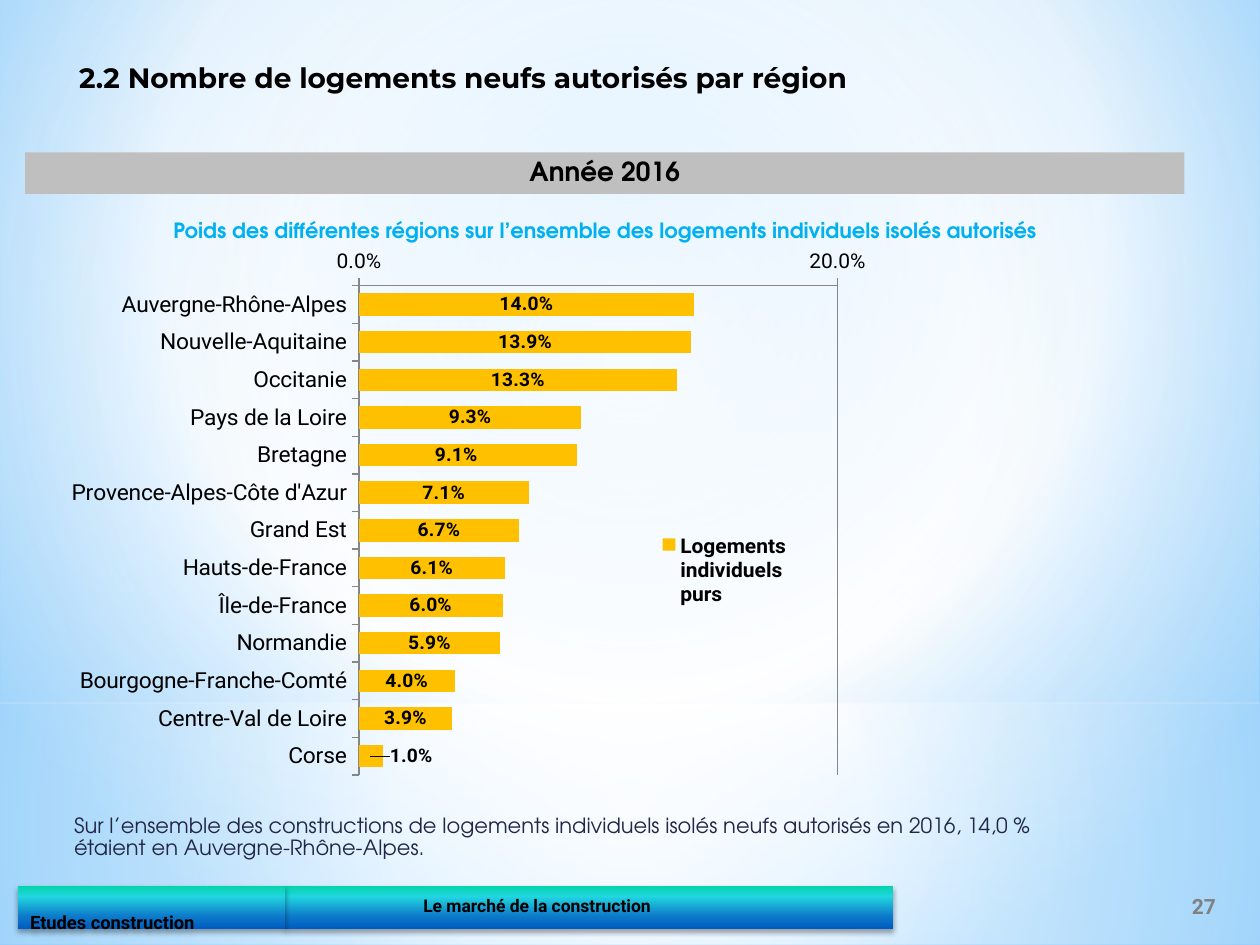
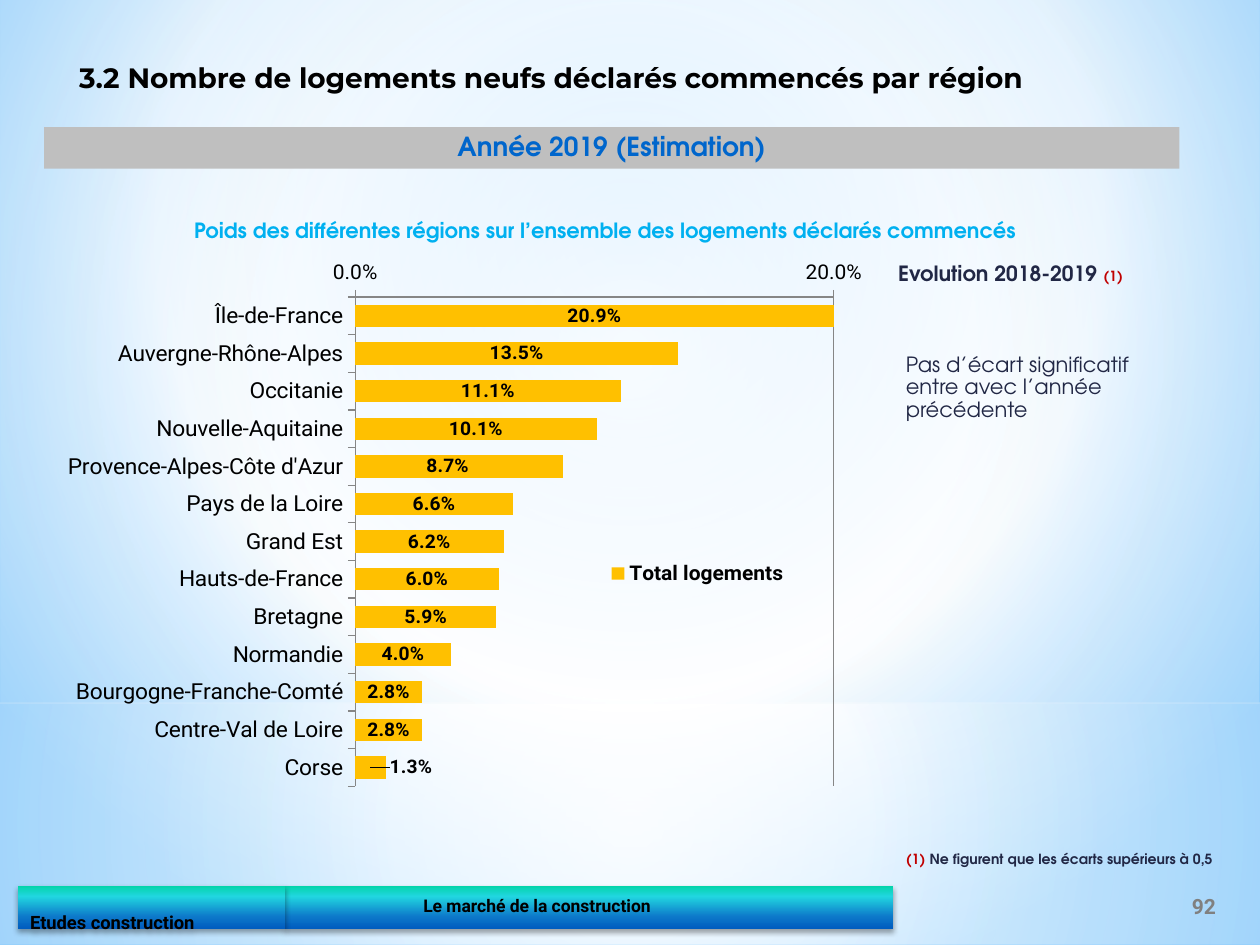
from collections import namedtuple

from pptx import Presentation
from pptx.chart.data import CategoryChartData
from pptx.dml.color import RGBColor
from pptx.enum.chart import XL_CHART_TYPE, XL_LEGEND_POSITION, XL_TICK_MARK
from pptx.enum.shapes import MSO_SHAPE
from pptx.enum.text import MSO_ANCHOR, MSO_AUTO_SIZE, PP_ALIGN
from pptx.oxml import parse_xml
from pptx.oxml.ns import nsdecls
from pptx.util import Inches, Pt

BAR_STACKED = XL_CHART_TYPE.BAR_STACKED
LEGEND_RIGHT = XL_LEGEND_POSITION.RIGHT
TICK_OUTSIDE = XL_TICK_MARK.OUTSIDE
RECTANGLE, FRAME = MSO_SHAPE.RECTANGLE, MSO_SHAPE.FRAME
TOP, MIDDLE = MSO_ANCHOR.TOP, MSO_ANCHOR.MIDDLE
GROW = MSO_AUTO_SIZE.SHAPE_TO_FIT_TEXT
LEFT, CENTER = PP_ALIGN.LEFT, PP_ALIGN.CENTER

COLUMNS, ROWS = 100, 75
CELL = Inches(0.1)
TITLE_FONT, LABEL_FONT, BODY_FONT = "Montserrat", "Roboto", "TeX Gyre Adventor"
COLORS = {
    "black": "000000", "navy": "212745", "sky": "00B0F0", "blue": "0066CC",
    "red": "C00000", "band": "BFBFBF", "number": "808080", "axis": "868686",
    "bar": "FFC000", "white": "FFFFFF", "haze": "B4DCFA",
    "edge": "5BB9FF", "glow": "9ED5FF",
    "teal": "03D4A8", "cyan": "21D6E0", "ocean": "0D79CA", "deep": "005CBF",
}
BACKGROUND_STOPS = [(0, "glow", 100), (60, "white", 100), (100, "edge", 100)]
UPPER_STOPS = [(0, "white", 89), (48, "white", 62), (100, "haze", 79)]
LOWER_STOPS = [(0, "white", 91), (37, "white", 76), (100, "haze", 79)]
FOOTER_STOPS = [(0, "teal", 100), (25, "cyan", 100), (72, "ocean", 100), (100, "deep", 100)]

Run = namedtuple("Run", "text size color bold font", defaults=("black", True, BODY_FONT))
Ranking = namedtuple("Ranking", "series regions values legend")


class Box(namedtuple("Box", "left top width height")):
    def area(self, left, top, width, height):
        return Box(self.left + left, self.top + top, width, height)

    def lengths(self):
        return [int(value * CELL) for value in self]


PAGE = Box(0, 0, COLUMNS, ROWS)


def rgb(name):
    return RGBColor.from_string(COLORS[name])


def circle(left, top, right, bottom):
    sides = zip("ltrb", (left, top, right, bottom))
    rectangle = " ".join(f'{side}="{share * 1000}"' for side, share in sides)
    return f'<a:path path="circle"><a:fillToRect {rectangle}/></a:path>'


def set_gradient(fill, properties, stops, direction):
    fill.solid()
    stop_list = "".join(
        f'<a:gs pos="{position * 1000}"><a:srgbClr val="{COLORS[color]}">'
        f'<a:alpha val="{opacity * 1000}"/></a:srgbClr></a:gs>'
        for position, color, opacity in stops)
    gradient = parse_xml(f'<a:gradFill {nsdecls("a")} rotWithShape="1">'
                         f'<a:gsLst>{stop_list}</a:gsLst>{direction}</a:gradFill>')
    solid = properties.xpath("a:solidFill")[0]
    properties.replace(solid, gradient)


def add_plain_shape(slide, box, kind=RECTANGLE):
    shape = slide.shapes.add_shape(kind, *box.lengths())
    shape.shadow.inherit = False
    shape.line.fill.background()
    return shape


def write(shape, runs, align=LEFT, anchor=TOP, spacing=0.9, grow=False):
    frame = shape.text_frame
    frame.word_wrap = True
    frame.vertical_anchor = anchor
    if grow:
        frame.auto_size = GROW
    paragraph = frame.paragraphs[0]
    paragraph.alignment = align
    paragraph.line_spacing = spacing
    for item in runs:
        run = paragraph.add_run()
        run.text = item.text
        run.font.name = item.font
        run.font.size = Pt(item.size)
        run.font.bold = item.bold
        run.font.color.rgb = rgb(item.color)


def add_text(slide, box, *runs, **options):
    write(slide.shapes.add_textbox(*box.lengths()), runs, **options)


def add_backdrop(slide, box, horizon=55.8):
    fill = slide.background.fill
    fill.solid()
    set_gradient(fill, slide.element.xpath(".//p:bgPr")[0],
                 BACKGROUND_STOPS, circle(20, 10, 20, 60))
    panels = [(box.area(0, horizon, box.width, box.height - horizon), LOWER_STOPS),
              (box.area(0, 0, box.width, horizon), UPPER_STOPS)]
    for panel, stops in panels:
        shape = add_plain_shape(slide, panel)
        set_gradient(shape.fill, shape.element.spPr, stops, circle(50, 50, 50, 50))


def add_footer_cell(slide, box, run, anchor, left=0.1, top=0.05, bottom=0.05):
    shape = add_plain_shape(slide, box, FRAME)
    shape.adjustments[0] = 0.5
    properties = shape.element.spPr
    set_gradient(shape.fill, properties, FOOTER_STOPS, '<a:lin ang="5400000" scaled="0"/>')
    properties.xpath("a:effectLst")[0].append(parse_xml(
        f'<a:outerShdw {nsdecls("a")} blurRad="{Pt(3.1)}" dist="{Pt(1.8)}" dir="5400000" '
        f'rotWithShape="0"><a:srgbClr val="{COLORS["black"]}"><a:alpha val="35000"/>'
        '</a:srgbClr></a:outerShdw>'))
    frame = shape.text_frame
    frame.margin_left, frame.margin_right = Inches(left), 0
    frame.margin_top, frame.margin_bottom = Inches(top), Inches(bottom)
    write(shape, [run], anchor=anchor)


def add_footer(slide, box, number):
    add_footer_cell(slide, box.area(21.2, 0.4, 48.3, 3.4),
                    Run("Le marché de la construction", 10, font=LABEL_FONT), MIDDLE, left=1.1)
    add_footer_cell(slide, box.area(0, 0.4, 21.2, 3.4),
                    Run("Etudes construction", 10.5, font=LABEL_FONT), TOP, top=0.22, bottom=0)
    add_text(slide, box.area(91.2, 0, 5.9, 4), Run(number, 12, "number", font=LABEL_FONT),
             align=CENTER, anchor=MIDDLE, spacing=1)


def add_band(slide, box, text, color):
    shape = add_plain_shape(slide, box)
    shape.fill.solid()
    shape.fill.fore_color.rgb = rgb("band")
    write(shape, [Run(text, 15, color)], align=CENTER, grow=True)


def add_heading(slide, box, title, subtitle):
    add_text(slide, box.area(1.6, 0, 80.8, 4.4), Run(title, 16, font=TITLE_FONT), spacing=1)
    add_text(slide, box.area(0, 12.7, box.width, 2.8), Run(subtitle, 12, "sky"),
             align=CENTER, grow=True)


def set_layout(parent, index, target="", **shares):
    for old in parent.xpath("c:layout"):
        parent.remove(old)
    inner = f'<c:layoutTarget val="{target}"/>' if target else ""
    if "w" in shares:
        inner += '<c:xMode val="edge"/><c:yMode val="edge"/>'
    inner += "".join(f'<c:{side} val="{share}"/>' for side, share in shares.items())
    parent.insert(index, parse_xml(f'<c:layout {nsdecls("c")}><c:manualLayout>{inner}'
                                   '</c:manualLayout></c:layout>'))


def style_axis(axis, size):
    axis.major_tick_mark = TICK_OUTSIDE
    axis.tick_labels.font.size = Pt(size)
    axis.format.line.color.rgb = rgb("axis")
    axis.format.line.width = Pt(0.75)


def style_label(font):
    font.size = Pt(11)
    font.bold = True
    font.name = LABEL_FONT
    font.color.rgb = rgb("black")


def add_ranking(slide, box, ranking):
    data = CategoryChartData(number_format="0.0%")
    data.categories = ranking.regions
    data.add_series(ranking.series, [value / 100 for value in ranking.values])
    chart = slide.shapes.add_chart(BAR_STACKED, *box.lengths(), data).chart
    chart.has_title = False
    chart.font.name = LABEL_FONT
    chart.font.size = Pt(18)
    chart.font.color.rgb = rgb("black")

    style_axis(chart.category_axis, 13)
    chart.category_axis.reverse_order = True
    values = chart.value_axis
    style_axis(values, 12)
    values.minimum_scale, values.maximum_scale, values.major_unit = 0, 0.2, 0.2
    values.tick_labels.number_format = "0.0%"
    values.tick_labels.number_format_is_linked = False
    values.has_major_gridlines = True
    values.major_gridlines.format.line.color.rgb = rgb("axis")
    values.major_gridlines.format.line.width = Pt(0.75)

    plot = chart.plots[0]
    plot.vary_by_categories = False
    plot.gap_width, plot.overlap = 68, 100
    series = plot.series[0]
    series.format.fill.solid()
    series.format.fill.fore_color.rgb = rgb("bar")
    labels = series.data_labels
    labels.show_value = True
    labels.number_format = "0.0%"
    labels.number_format_is_linked = False
    style_label(labels.font)
    shifts = {4: -0.01, len(ranking.regions) - 1: 0.035}
    for index in shifts:
        style_label(series.points[index].data_label.font)
    for label, shift in zip(chart.element.xpath(".//c:ser/c:dLbls/c:dLbl"), shifts.values()):
        set_layout(label, 1, x=shift, y=0)

    chart.has_legend = True
    legend = chart.legend
    legend.position = LEGEND_RIGHT
    legend.include_in_layout = False
    legend.font.size = Pt(12)
    legend.font.bold = True
    set_layout(chart.element.xpath(".//c:legend")[0], 1, **dict(zip("xywh", ranking.legend)))
    set_layout(chart.element.xpath(".//c:plotArea")[0], 0, "inner",
               x=0.283, y=0.033, w=0.415, h=0.853)


def add_comparison(slide, box):
    add_text(slide, box.area(0, 0, 23, 2.8), Run("Evolution 2018-2019 ", 12, "navy"),
             Run("(1)", 8, "red"), grow=True)
    add_text(slide, box.area(0.6, 7.2, 21.1, 6.5),
             Run("Pas d’écart significatif entre avec l’année précédente", 12, "navy", False),
             grow=True)
    add_text(slide, box.area(0.6, 46.8, 29.1, 2.2), Run("(1) ", 8, "red"),
             Run("Ne figurent que les écarts supérieurs à 0,5", 8, "navy"), grow=True)


def add_region_slide(presentation, title, subtitle, number):
    slide = presentation.slides.add_slide(presentation.slide_layouts[6])
    add_backdrop(slide, PAGE)
    add_footer(slide, PAGE.area(1.4, 69.9, 97.2, 4), number)
    add_heading(slide, PAGE.area(3.7, 4.3, 88.7, 15.5), title, subtitle)
    return slide


def add_permits_slide(presentation):
    slide = add_region_slide(
        presentation, "2.2 Nombre de logements neufs autorisés par région",
        "Poids des différentes régions sur l’ensemble des logements individuels isolés autorisés",
        "27")
    add_band(slide, PAGE.area(2, 12.1, 92, 3.3), "Année 2016", "black")
    add_ranking(slide, PAGE.area(2.6, 19.8, 91.5, 46.9), Ranking(
        "Logements individuels purs",
        ["Auvergne-Rhône-Alpes", "Nouvelle-Aquitaine", "Occitanie", "Pays de la Loire",
         "Bretagne", "Provence-Alpes-Côte d'Azur", "Grand Est", "Hauts-de-France",
         "Île-de-France", "Normandie", "Bourgogne-Franche-Comté", "Centre-Val de Loire",
         "Corse"],
        [14, 13.9, 13.3, 9.3, 9.1, 7.1, 6.7, 6.1, 6, 5.9, 4, 3.9, 1],
        (0.53, 0.46, 0.14, 0.14)))
    add_text(slide, PAGE.area(4.9, 64.2, 81, 4.6),
             Run("Sur l’ensemble des constructions de logements individuels isolés neufs "
                 "autorisés en 2016, 14,0 % étaient en Auvergne-Rhône-Alpes.", 12, "navy", False),
             grow=True)


def add_starts_slide(presentation):
    slide = add_region_slide(
        presentation, "3.2 Nombre de logements neufs déclarés commencés par région",
        "Poids des différentes régions sur l’ensemble des logements déclarés commencés", "92")
    add_band(slide, PAGE.area(3.5, 10.1, 90.1, 3.3), "Année 2019 (Estimation)", "blue")
    add_ranking(slide, PAGE.area(2.3, 20.7, 91.5, 46.9), Ranking(
        "Total logements",
        ["Île-de-France", "Auvergne-Rhône-Alpes", "Occitanie", "Nouvelle-Aquitaine",
         "Provence-Alpes-Côte d'Azur", "Pays de la Loire", "Grand Est", "Hauts-de-France",
         "Bretagne", "Normandie", "Bourgogne-Franche-Comté", "Centre-Val de Loire", "Corse"],
        [20.9, 13.5, 11.1, 10.1, 8.7, 6.6, 6.2, 6, 5.9, 4, 2.8, 2.8, 1.3],
        (0.49, 0.49, 0.18, 0.05)))
    add_comparison(slide, PAGE.area(70.3, 20.4, 29.7, 49))


def main():
    presentation = Presentation()
    presentation.slide_width = COLUMNS * CELL
    presentation.slide_height = ROWS * CELL
    add_permits_slide(presentation)
    add_starts_slide(presentation)
    presentation.save("out.pptx")


if __name__ == "__main__":
    main()
